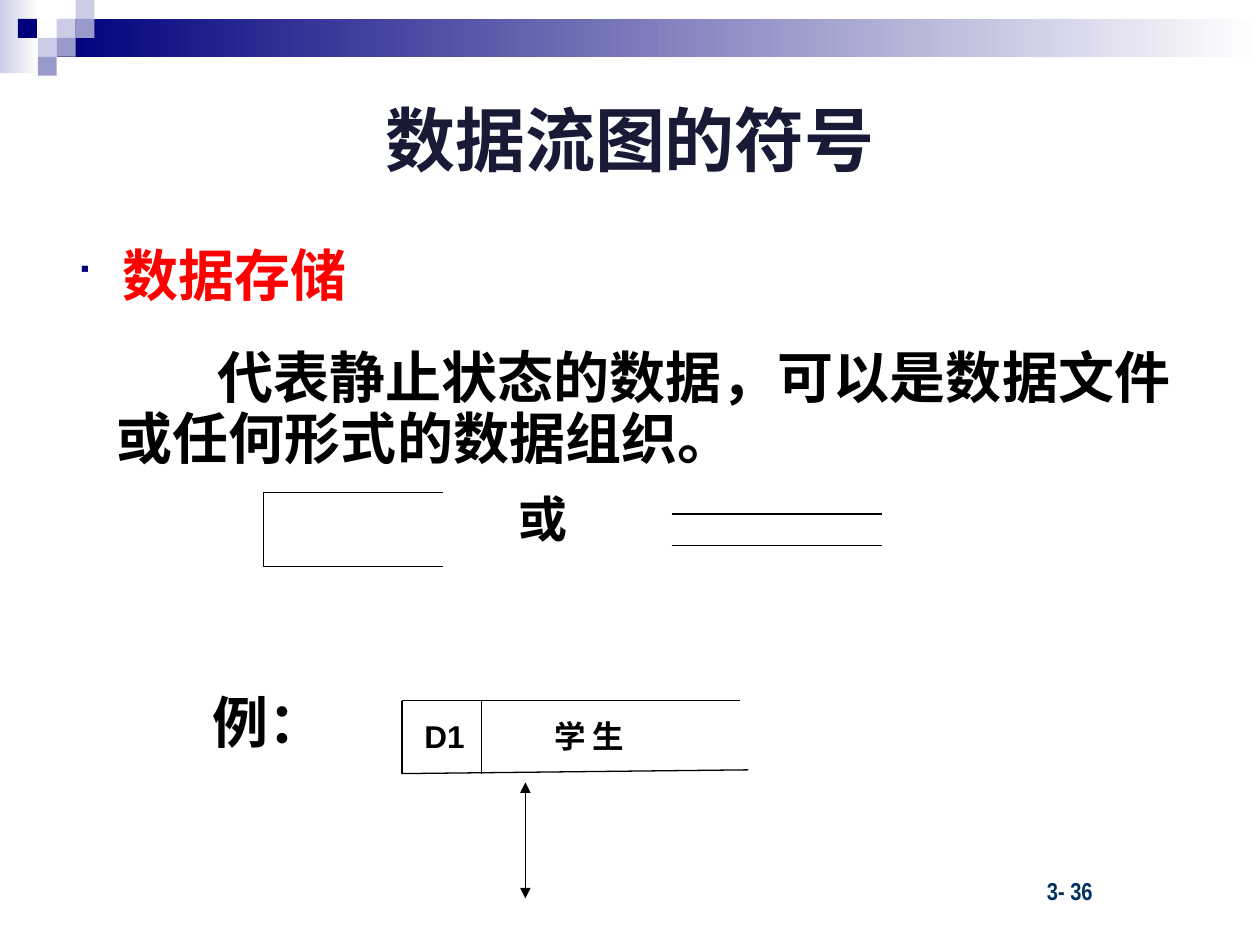
from pptx import Presentation, util as u
from pptx.dml.color import RGBColor
from pptx.enum import shapes, text
from pptx.oxml.ns import qn
from lxml import etree

INK = {"navy": "00007D", "mid": "9999CC", "pale": "CCCCE6", "white": "FFFFFF",
       "title": "181A36", "red": "FF0000", "black": "000000", "page": "003162"}
CJK = "Noto Sans CJK SC"


def rgb(name):
    return RGBColor.from_string(INK[name])


def add(node, tag, **attrs):
    return etree.SubElement(node, qn(tag), attrs)


class Deck:
    """Draws on one slide, on a grid of 100 columns by 75 rows."""

    def __init__(self):
        self.prs = Presentation()
        self.prs.slide_width, self.prs.slide_height = u.Inches(10), u.Inches(7.5)
        self.cell = self.prs.slide_width / 100
        self.slide = self.prs.slides.add_slide(self.prs.slide_layouts[5])
        self.items = self.slide.shapes

    def grid(self, *spots):
        return [round(spot * self.cell) for spot in spots]

    def block(self, place, tone, fade=False):
        box = self.items.add_shape(shapes.MSO_SHAPE.RECTANGLE, *self.grid(*place))
        box.shadow.inherit = False
        box.line.fill.background()
        if fade:
            box.fill.gradient()
            box.fill.gradient_angle = 0
            for stop, name in zip(box.fill.gradient_stops, (tone, "white")):
                stop.color.rgb = rgb(name)
        else:
            box.fill.solid()
            box.fill.fore_color.rgb = rgb(tone)

    def style(self, para, size, tone="black", face="Arial"):
        font = para.font
        font.size, font.bold, font.name = u.Pt(size), True, face
        font.color.rgb = rgb(tone)
        add(para._p.pPr.find(qn("a:defRPr")), "a:ea", typeface=CJK)

    def title(self, place, words):
        box = self.items.title
        box.left, box.top, box.width, box.height = self.grid(*place)
        frame = box.text_frame
        frame.text, frame.vertical_anchor = words, text.MSO_ANCHOR.MIDDLE
        frame.paragraphs[0].alignment = text.PP_ALIGN.CENTER
        self.style(frame.paragraphs[0], 40, "title")

    def label(self, place, words, size, indent=0, bullet=False, space=None, **look):
        frame = self.items.add_textbox(*self.grid(*place)).text_frame
        frame.word_wrap = True
        frame.text = words
        para = frame.paragraphs[0]
        para.line_spacing = space
        props = para._p.get_or_add_pPr()
        shift = self.grid(indent)[0]
        props.set("marL", str(shift if bullet else 0))
        props.set("indent", str(-shift if bullet else shift))
        if bullet:
            add(add(props, "a:buClr"), "a:srgbClr", val=INK["navy"])
            add(props, "a:buSzPct", val="75000")
            add(props, "a:buFont", typeface="Wingdings", charset="2")
            add(props, "a:buChar", char="■")
        self.style(para, size, **look)

    def line(self, x1, y1, x2, y2, heads=False):
        rule = self.items.add_connector(shapes.MSO_CONNECTOR.STRAIGHT,
                                        *self.grid(x1, y1, x2, y2))
        rule.line.width = u.Pt(0.75)
        rule.line.color.rgb = rgb("black")
        if heads:
            for end in ("a:headEnd", "a:tailEnd"):
                add(rule.line._ln, end, type="triangle")
        add(rule._element.spPr, "a:effectLst")


def main():
    deck = Deck()
    deck.block((0, 0, 3.1, 5.8), "pale", fade=True)
    deck.block((4.5, 1.5, 95.5, 3), "navy", fade=True)
    tiles = [(3, 1, "pale"), (4, 0, "pale"), (4, 1, "mid"), (2, 2, "pale"),
             (0.95, 1, "navy"), (3, 2, "mid"), (2, 3, "mid")]
    for col, row, tone in tiles:
        deck.block((col * 1.5, row * 1.5, 1.5, 1.5), tone)

    deck.title((5, 5, 90, 12), "数据流图的符号")
    deck.label((5, 18.6, 90, 45.6), "数据存储", 32, indent=3.75, bullet=True,
               tone="red", face=CJK)
    deck.label((8.3, 27.3, 88.3, 10.6), "代表静止状态的数据，可以是数据文件或任何形式的数据组织。",
               32, indent=8, space=0.9, face=CJK)
    deck.label((40.2, 38.3, 7.2, 7.5), "或", 28, face="Times New Roman")
    deck.label((15.9, 54.1, 11.7, 6.4), "例：", 32)
    deck.label((32.7, 56.4, 5.5, 4), "D1", 18)
    deck.label((43, 56.4, 9, 4), "学 生", 18)
    deck.label((82.1, 69, 11.5, 3.3), "3- 36", 14, tone="page", face="Arial Narrow")

    for y in (39.1, 44.95):
        deck.line(20.9, y, 35.2, y)
    for y in (40.8, 43.3):
        deck.line(53.3, y, 70, y)
    deck.line(20.9, 39.1, 20.9, 44.95)
    for x in (31.9, 38.2):
        deck.line(x, 55.6, x, 61.4)
    deck.line(31.9, 55.6, 58.7, 55.6)
    deck.line(31.9, 61.4, 59.4, 61.1)
    deck.line(41.7, 62.1, 41.7, 71.3, heads=True)
    deck.prs.save("out.pptx")


if __name__ == "__main__":
    main()
